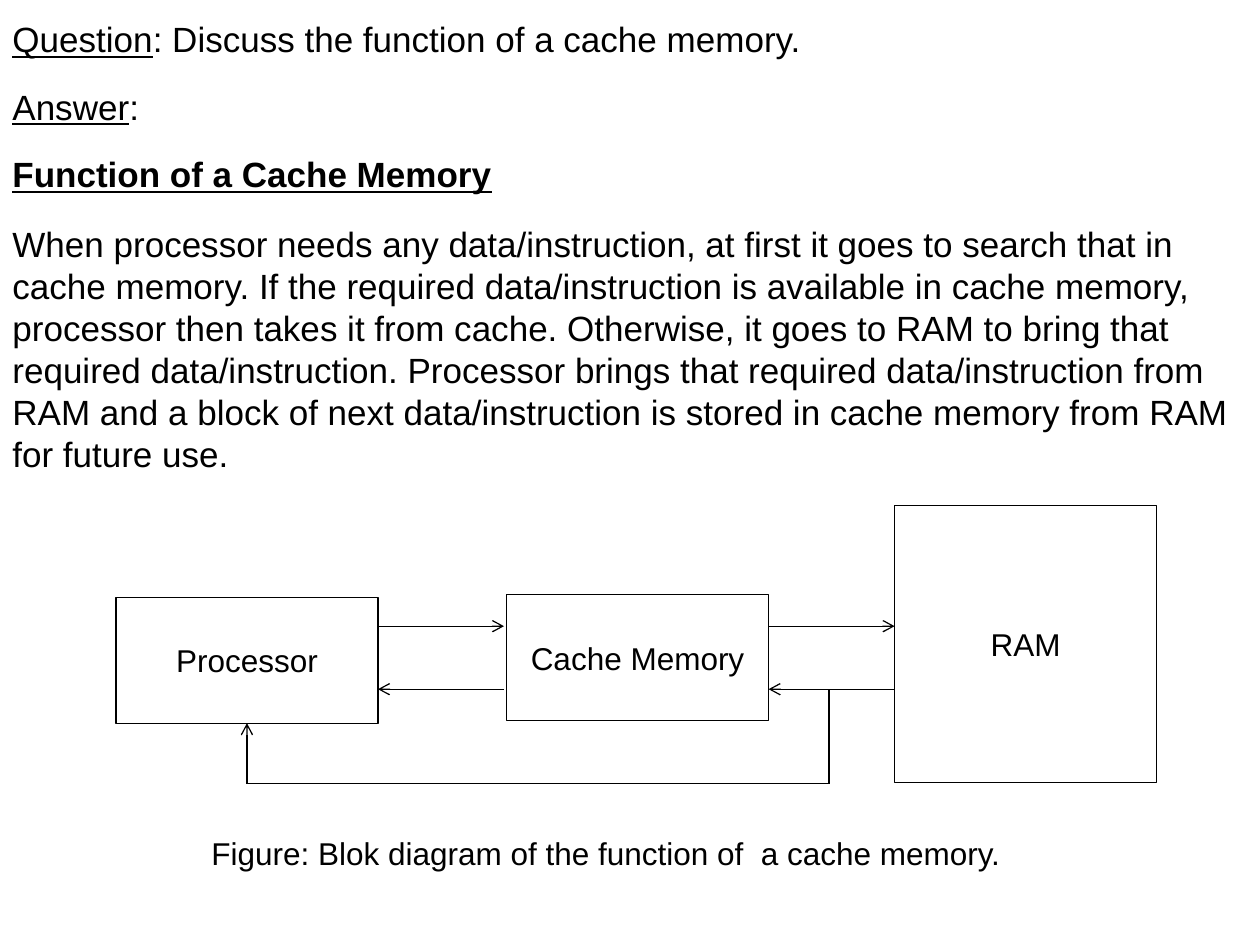
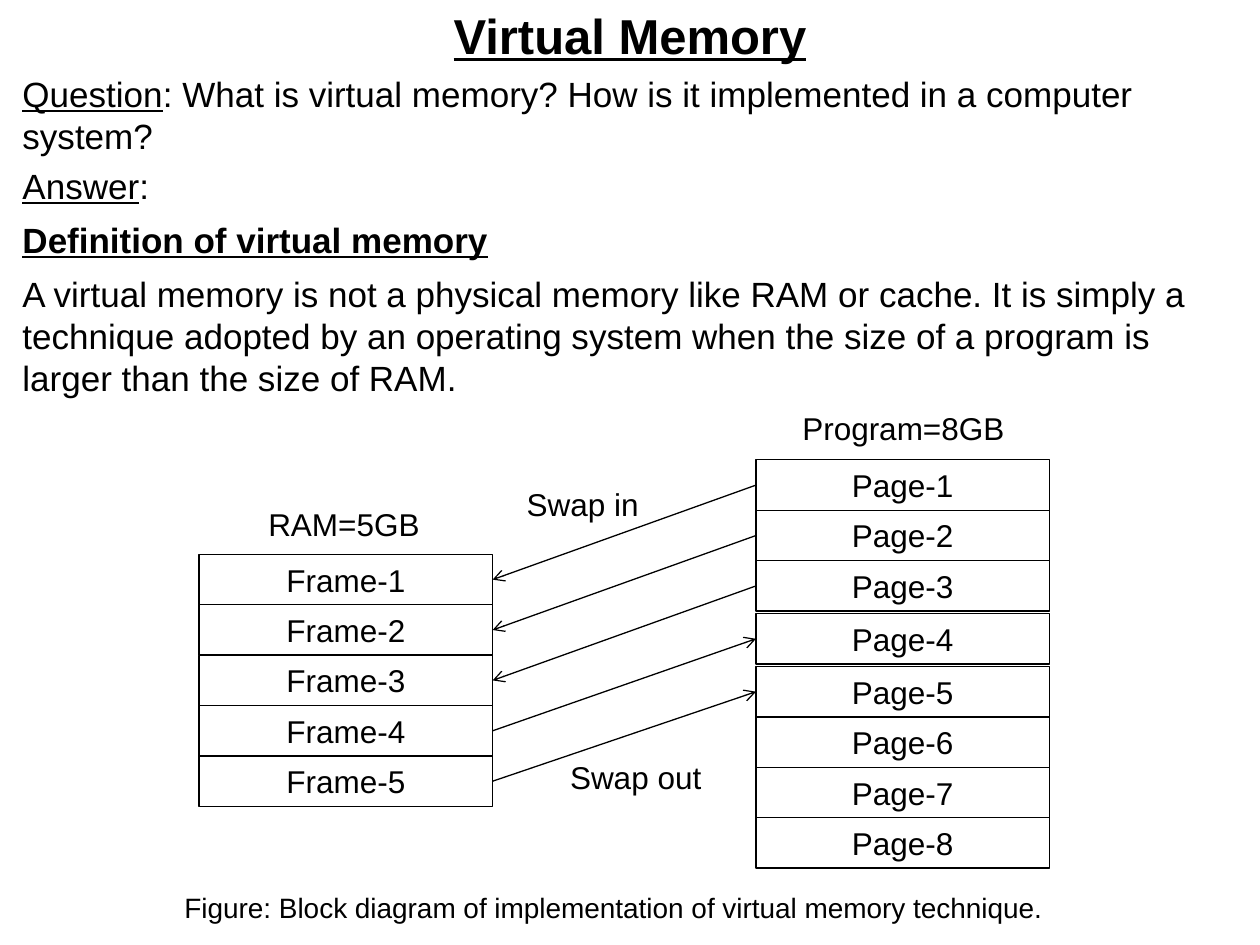
from dataclasses import dataclass

import pptx
import pptx.enum.shapes
import pptx.enum.text
import pptx.oxml
import pptx.oxml.ns
import pptx.util
from pptx.dml.color import RGBColor
from pptx.util import Inches

COLORS = {"ink": "000000"}
FONT = "Arial"
LINE = 0.75
ALIGN = pptx.enum.text.PP_ALIGN
ANCHOR = pptx.enum.text.MSO_ANCHOR
NS = pptx.oxml.ns.nsdecls("a")


@dataclass
class Label:
    text: str
    left: float
    top: float
    width: float
    height: float
    size: float = 18
    align: ALIGN = ALIGN.CENTER
    anchor: ANCHOR = ANCHOR.TOP
    head: bool = False  # bold and underlined


@dataclass
class Para:
    mark: str  # underlined start
    rest: str = ""
    gap: float = 0
    bold: bool = False


@dataclass
class Arrow:
    x1: float
    y1: float
    x2: float
    y2: float
    tip: bool = True


def ink() -> RGBColor:
    return RGBColor.from_string(COLORS["ink"])


def style(run, size: float, bold: bool = False, under: bool = False) -> None:
    font = run.font
    font.name, font.size = FONT, pptx.util.Pt(size)
    font.bold, font.underline = bold, under
    font.color.rgb = ink()


def fill_text(shape, item: Label) -> None:
    frame = shape.text_frame
    frame.word_wrap = True
    frame.vertical_anchor = item.anchor
    frame.text = item.text
    para = frame.paragraphs[0]
    para.alignment = item.align
    style(para.runs[0], item.size, item.head, item.head)


def area(item: Label) -> list:
    return [Inches(v) for v in (item.left, item.top, item.width, item.height)]


def add_label(slide, item: Label) -> None:
    fill_text(slide.shapes.add_textbox(*area(item)), item)


def add_box(slide, item: Label):
    kind = pptx.enum.shapes.MSO_SHAPE.RECTANGLE
    box = slide.shapes.add_shape(kind, *area(item))
    box.shadow.inherit = False
    box.fill.background()
    box.line.color.rgb = ink()
    box.line.width = pptx.util.Pt(LINE)
    fill_text(box, item)
    return box


def add_prose(slide, left: float, top: float, width: float, height: float,
              paras: list[Para], foot: float = 0.05) -> None:
    frame = slide.shapes.add_textbox(*map(Inches, (left, top, width, height))).text_frame
    frame.word_wrap = True
    frame.vertical_anchor = ANCHOR.MIDDLE
    frame.margin_bottom = Inches(foot)
    for i, item in enumerate(paras):
        para = frame.add_paragraph() if i else frame.paragraphs[0]
        if item.gap:
            para.space_before = pptx.util.Pt(item.gap)
        if item.mark:
            para.text = item.mark
            style(para.runs[0], 20, item.bold, True)
        if item.rest:
            run = para.add_run()
            run.text = item.rest
            style(run, 20)


def add_arrow(slide, item: Arrow):
    kind = pptx.enum.shapes.MSO_CONNECTOR.STRAIGHT
    ends = map(Inches, (item.x1, item.y1, item.x2, item.y2))
    link = slide.shapes.add_connector(kind, *ends)
    link.line.color.rgb = ink()
    link.line.width = pptx.util.Pt(LINE)
    if item.tip:
        link.line._get_or_add_ln().append(
            pptx.oxml.parse_xml(f'<a:tailEnd {NS} type="arrow"/>'))
    link._element.spPr.append(pptx.oxml.parse_xml(f"<a:effectLst {NS}/>"))
    return link


def cache_slide(slide) -> None:
    add_prose(slide, 0, 0.08, 9.92, 3.75, [
        Para("Question", ": Discuss the function of a cache memory."),
        Para("Answer", ":", 14.5),
        Para("Function of a Cache Memory", gap=14.5, bold=True),
        Para("", "When processor needs any data/instruction, at first it goes to "
             "search that in cache memory. If the required data/instruction is "
             "available in cache memory, processor then takes it from cache. "
             "Otherwise, it goes to RAM to bring that required data/instruction. "
             "Processor brings that required data/instruction from RAM and a block "
             "of next data/instruction is stored in cache memory from RAM for "
             "future use.", 16),
    ])

    # Memory blocks
    mid = ANCHOR.MIDDLE
    cpu, _, _ = [add_box(slide, Label(name, x, y, 2.08, h, anchor=mid))
                 for name, x, y, h in (("Processor", 0.92, 4.74, 1),
                                       ("RAM", 7.1, 4.01, 2.2),
                                       ("Cache Memory", 4.02, 4.72, 1))]

    # Requests go right, data comes back left
    for x1, x2 in ((3, 4), (6.1, 7.1)):
        add_arrow(slide, Arrow(x1, 4.97, x2, 4.97))
        add_arrow(slide, Arrow(x2, 5.47, x1, 5.47))

    # Direct way from RAM to the processor
    add_arrow(slide, Arrow(6.58, 5.47, 6.58, 6.22, tip=False))
    add_arrow(slide, Arrow(1.96, 6.22, 6.58, 6.22, tip=False))
    add_arrow(slide, Arrow(1.96, 6.22, 1.96, 5.74)).end_connect(cpu, 2)

    add_label(slide, Label("Figure: Blok diagram of the function of  a cache memory.",
                           1.58, 6.57, 6.58, 0.4, align=ALIGN.LEFT, anchor=mid))


def virtual_slide(slide) -> None:
    add_label(slide, Label("Virtual Memory", 0.5, 0.05, 9, 0.45, 28,
                           anchor=ANCHOR.MIDDLE, head=True))
    add_prose(slide, 0.08, 0.95, 9.75, 2.17, [
        Para("Question", ": What is virtual memory? How is it implemented in a "
             "computer system?"),
        Para("Answer", ":", 4.5),
        Para("Definition of virtual memory", gap=7, bold=True),
        Para("", "A virtual memory is not a physical memory like RAM or cache. It is "
             "simply a technique adopted by an operating system when the size of a "
             "program is larger than the size of RAM.", 7),
    ], foot=0.38)

    # Frames in RAM and pages of the program
    wide, high = 2.33, 0.4
    frames = [add_box(slide, Label(f"Frame-{i + 1}", 1.58, 4.4 + i * high, wide, high))
              for i in range(5)]
    pages = []
    for i in range(8):
        slack = 0.02 * min(max(i - 2, 0), 2)  # small gaps around page 4
        pages.append(add_box(slide, Label(f"Page-{i + 1}", 6, 3.65 + i * high + slack,
                                          wide, high)))

    # Three swaps in, two swaps out
    for i, (frame, page) in enumerate(zip(frames, pages)):
        link = add_arrow(slide, Arrow(6, 4, 3.91, 5))
        ends = [(page, 1), (frame, 3)]
        start, stop = ends if i < 3 else ends[::-1]
        link.begin_connect(*start)
        link.end_connect(*stop)

    # Labels and caption
    for item in (
        Label("Swap out", 4.42, 5.97, 1.25, 0.4),
        Label("Swap in", 4, 3.8, 1.25, 0.4),
        Label("Program=8GB", 6.17, 3.2, 2, 0.4),
        Label("RAM=5GB", 2.02, 3.96, 1.42, 0.4),
        Label("Figure: Block diagram of implementation of virtual memory technique.",
              1.33, 7.02, 7.08, 0.37, 16),
    ):
        add_label(slide, item)


def main() -> None:
    deck = pptx.Presentation()
    deck.slide_width, deck.slide_height = Inches(10), Inches(7.5)
    for draw in (cache_slide, virtual_slide):
        draw(deck.slides.add_slide(deck.slide_layouts[6]))
    deck.save("out.pptx")


if __name__ == "__main__":
    main()
